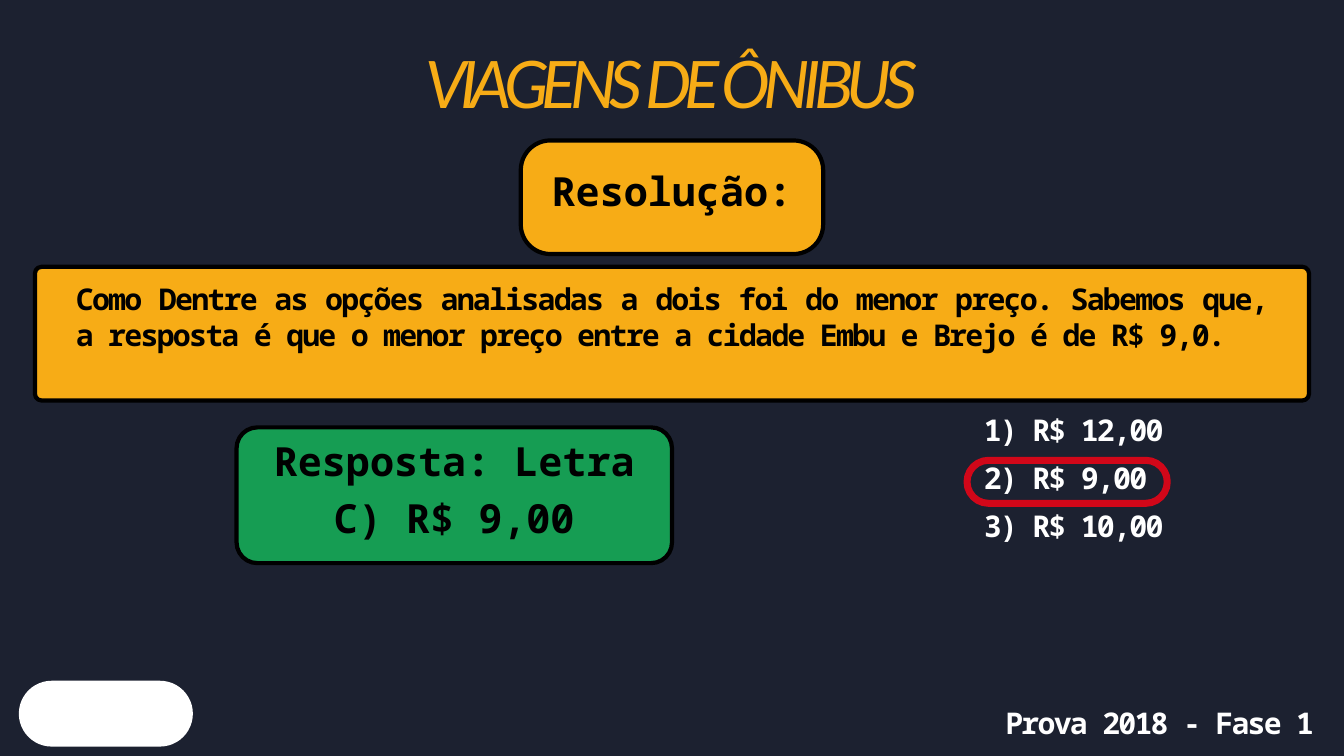
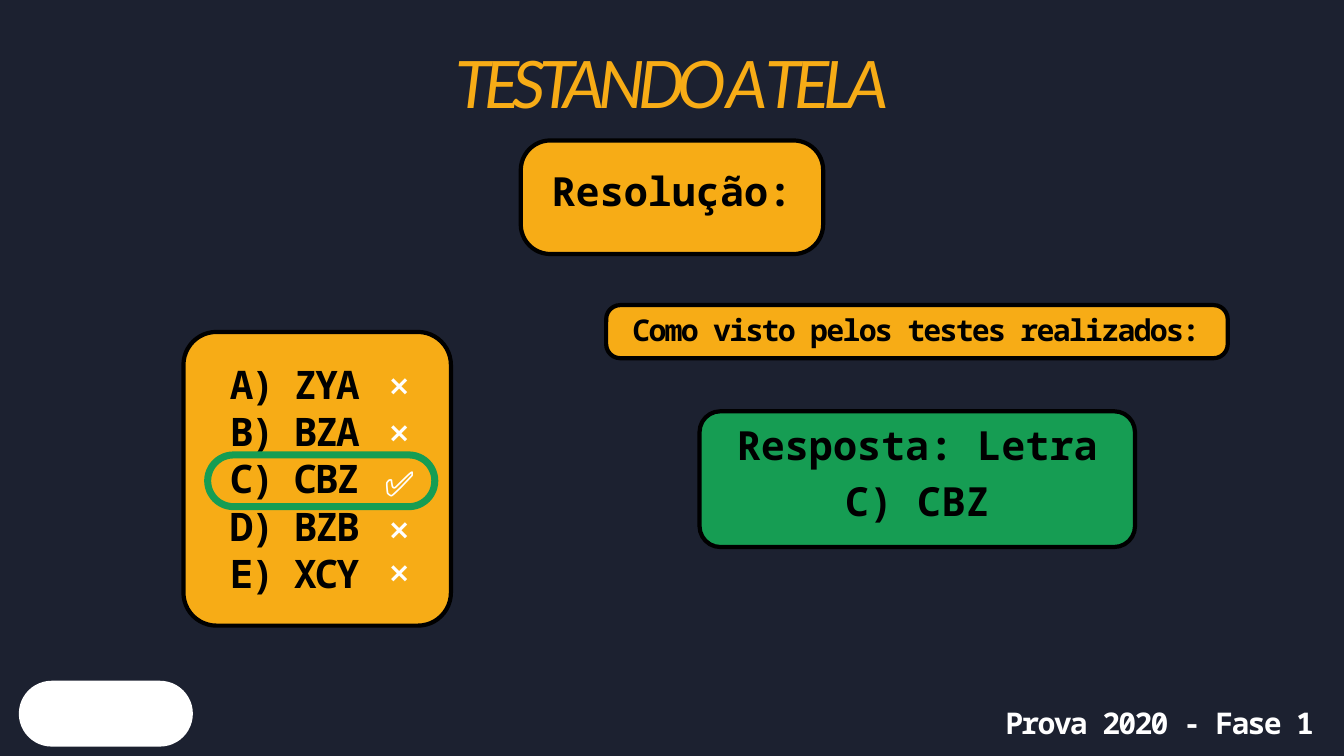
from dataclasses import dataclass
from typing import Optional

from pptx import Presentation
from pptx.dml.color import RGBColor
from pptx.enum.shapes import MSO_SHAPE as Shape
from pptx.enum.text import MSO_ANCHOR as Anchor, MSO_AUTO_SIZE as AutoSize, PP_ALIGN as Align
from pptx.util import Inches, Pt

COLORS = {
    "night": "1C2130",
    "amber": "F7AC16",
    "green": "169D53",
    "red": "D10719",
    "white": "FFFFFF",
    "black": "000000",
}
MONO = "Noto Sans Mono"
CORNER_INSET = 0.29289  # share of the corner radius a rounded box keeps free of text


@dataclass(frozen=True)
class TextStyle:
    size: float
    leading: float
    color: str = "black"
    font: str = MONO
    bold: bool = True
    italic: bool = False
    spacing: float = 0
    align: Align = Align.JUSTIFY


@dataclass(frozen=True)
class Box:
    left: float
    top: float
    width: float
    height: float


@dataclass(frozen=True)
class Card:
    box: Box
    radius: float
    fill: Optional[str] = "amber"
    line: Optional[str] = "black"
    line_width: float = 4.5


TITLE = TextStyle(70.1, 96.8, "amber", "Lato", bold=False, italic=True,
                  spacing=-7.2, align=Align.CENTER)
LABEL = TextStyle(43, 60.2, align=Align.CENTER)
BODY = TextStyle(32.1, 38.6, spacing=-1.9)
PRICE = TextStyle(32.1, 38.6, "white", spacing=-1.9)
EXAM = TextStyle(32, 38.4, "white", spacing=-1.9)
OPTION = TextStyle(42.1, 50.6, spacing=-2.5, align=Align.LEFT)
CROSS = TextStyle(30, 42, "white", "Open Sans", align=Align.CENTER)
CHECK = TextStyle(37.4, 52.3, "white", align=Align.CENTER)

# Parts shared by both slides
TITLE_BOX = Box(1.35, 0.47, 17.3, 1.44)
EXAM_BOX = Box(14.96, 10.48, 4.83, 0.53)
BADGE = Card(Box(0.28, 10.13, 2.59, 0.98), 0.49, "white", None)
RESOLUTION = Card(Box(7.75, 2.09, 4.5, 1.69), 0.44)


def rgb(name: str) -> RGBColor:
    return RGBColor.from_string(COLORS[name])


def write(frame, lines: list[str], style: TextStyle, anchor=Anchor.TOP,
          insets=(0, 0, 0, 0)) -> None:
    """Fill a text frame; insets are left, top, right, bottom in inches."""
    frame.word_wrap = True
    frame.auto_size = AutoSize.NONE
    frame.vertical_anchor = anchor
    (frame.margin_left, frame.margin_top,
     frame.margin_right, frame.margin_bottom) = (Inches(inset) for inset in insets)
    frame.text = "\n".join(lines)
    for paragraph in frame.paragraphs:
        paragraph.alignment = style.align
        paragraph.line_spacing = Pt(style.leading)
        font = paragraph.font
        font.name, font.size = style.font, Pt(style.size)
        font.bold, font.italic = style.bold, style.italic
        font.color.rgb = rgb(style.color)
        if style.spacing:
            defaults = paragraph._p.get_or_add_pPr().get_or_add_defRPr()
            defaults.set("spc", str(round(style.spacing * 100)))


def place(box: Box) -> tuple:
    return Inches(box.left), Inches(box.top), Inches(box.width), Inches(box.height)


def add_text(slide, box: Box, text: str, style: TextStyle) -> None:
    write(slide.shapes.add_textbox(*place(box)).text_frame, [text], style)


def add_card(slide, card: Card):
    shape = slide.shapes.add_shape(Shape.ROUNDED_RECTANGLE, *place(card.box))
    shape.adjustments[0] = card.radius / min(card.box.width, card.box.height)
    shape.shadow.inherit = False
    if card.fill:
        shape.fill.solid()
        shape.fill.fore_color.rgb = rgb(card.fill)
    else:
        shape.fill.background()
    if card.line:
        shape.line.color.rgb = rgb(card.line)
        shape.line.width = Pt(card.line_width)
    else:
        shape.line.fill.background()
    return shape


def add_label(slide, card: Card, text: str) -> None:
    """Card with a centred label that sits slightly above the middle."""
    write(add_card(slide, card).text_frame, [text], LABEL, Anchor.MIDDLE,
          (0.04, 0.04, 0.04, 0.35))


def add_passage(slide, card: Card, lines: list[str], style: TextStyle,
                left: float, top: float, right: float) -> None:
    """Card with text starting at the given distances from its edges."""
    corner = card.radius * CORNER_INSET
    write(add_card(slide, card).text_frame, lines, style,
          insets=(left - corner, top - corner, right - corner, 0))


def add_answer(slide, left: float, top: float, text: str) -> None:
    add_label(slide, Card(Box(left, top, 6.48, 2.02), 0.31, "green"), text)


def add_ring(slide, box: Box, color: str) -> None:
    add_card(slide, Card(box, box.height / 2, None, color, 7.5))


def add_resolution_slide(prs, title: str, exam: str):
    slide = prs.slides.add_slide(prs.slide_layouts[5])
    heading = slide.shapes.title
    heading.left, heading.top, heading.width, heading.height = place(TITLE_BOX)
    write(heading.text_frame, [title], TITLE)
    add_card(slide, BADGE)
    add_label(slide, RESOLUTION, "Resolução:")
    add_text(slide, EXAM_BOX, exam, EXAM)
    return slide


def build_bus_trips(prs) -> None:
    slide = add_resolution_slide(prs, "VIAGENS DE ÔNIBUS", "Prova 2018 - Fase 1")
    add_passage(slide, Card(Box(0.52, 3.97, 18.96, 1.99), 0.1),
                ["Como Dentre as opções analisadas a dois foi do menor preço. "
                 "Sabemos que, a resposta é que o menor preço entre a cidade "
                 "Embu e Brejo é de R$ 9,0."],
                BODY, left=0.61, top=0.2, right=0.62)
    add_answer(slide, 3.52, 6.36, "Resposta: Letra C) R$ 9,00")

    # Prices, with the lowest one ringed
    for row, price in enumerate(["R$ 12,00", "R$ 9,00", "R$ 10,00"]):
        add_text(slide, Box(14.64, 6.13 + 0.71 * row, 2.73, 0.54),
                 f"{row + 1}) {price}", PRICE)
    add_ring(slide, Box(14.39, 6.85, 2.98, 0.64), "red")


def build_screen_test(prs) -> None:
    slide = add_resolution_slide(prs, "TESTANDO A TELA", "Prova 2020 - Fase 1")

    # Options, each with its mark
    add_passage(slide, Card(Box(2.73, 4.94, 3.98, 4.37), 0.49),
                ["A) ZYA", "B) BZA", "C) CBZ", "D) BZB", "E) XCY"],
                OPTION, left=0.69, top=0.42, right=0.2)
    add_ring(slide, Box(3.09, 6.77, 3.38, 0.77), "green")
    for top in (5.4, 6.1, 7.55, 8.18):
        add_text(slide, Box(5.6, top, 0.68, 0.54), "❌", CROSS)
    add_text(slide, Box(5.62, 6.77, 0.65, 0.69), "✅", CHECK)

    # Conclusion
    add_passage(slide, Card(Box(9.02, 4.54, 9.25, 0.79), 0.21),
                ["Como visto pelos testes realizados:"],
                BODY, left=0.39, top=0.09, right=0.1)
    add_answer(slide, 10.41, 6.12, "Resposta: Letra C) CBZ")


def main() -> None:
    prs = Presentation()
    prs.slide_width, prs.slide_height = Inches(20), Inches(11.25)
    backdrop = prs.slide_master.background.fill
    backdrop.solid()
    backdrop.fore_color.rgb = rgb("night")
    build_bus_trips(prs)
    build_screen_test(prs)
    prs.save("out.pptx")


if __name__ == "__main__":
    main()
